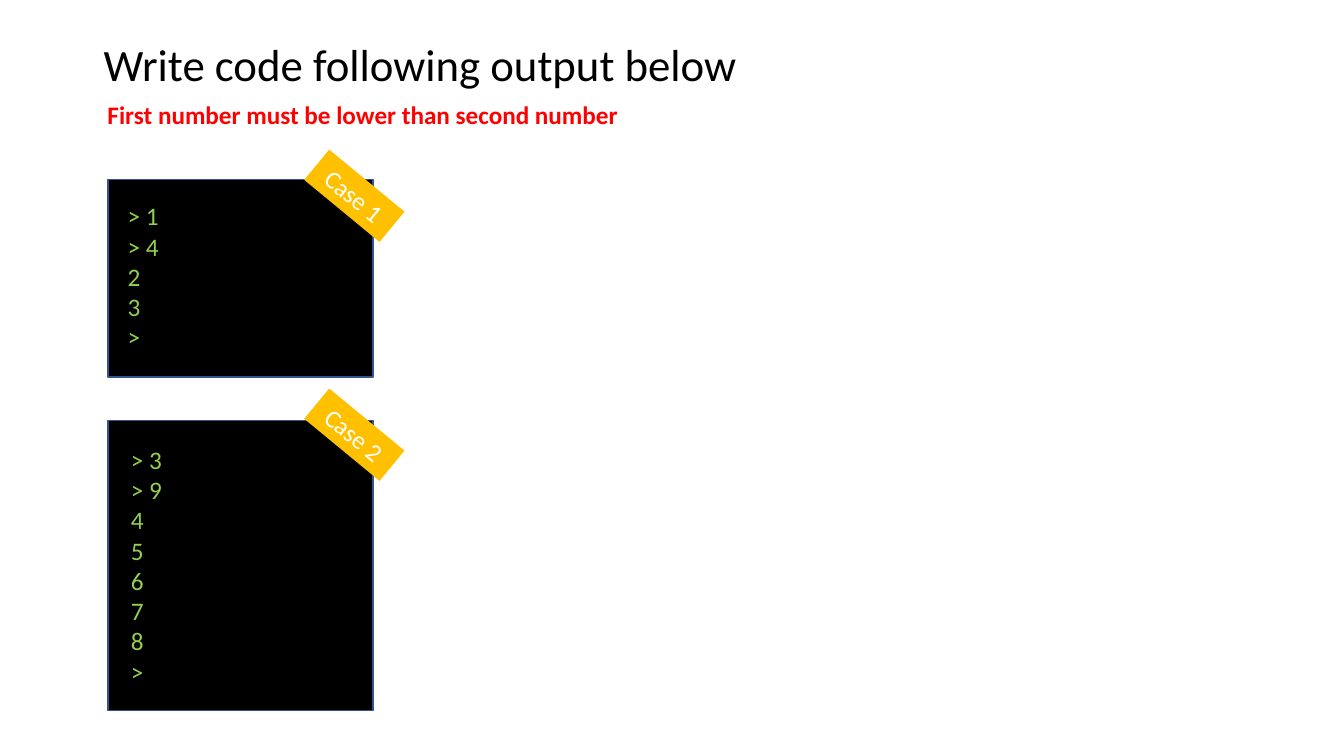
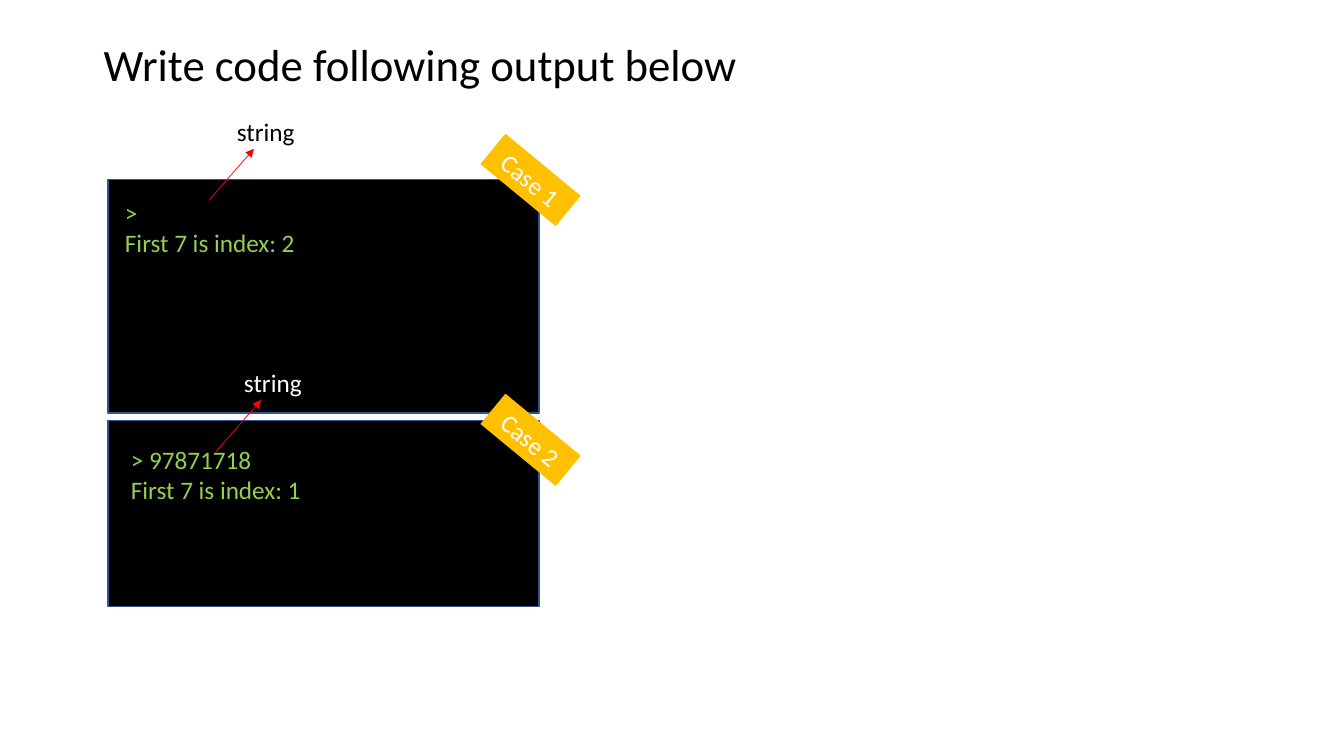
from lxml import etree
from pptx import Presentation
from pptx.dml.color import RGBColor
from pptx.enum.shapes import MSO_CONNECTOR, MSO_SHAPE
from pptx.enum.text import MSO_ANCHOR, MSO_AUTO_SIZE, PP_ALIGN
from pptx.oxml.ns import qn
from pptx.util import Cm, Pt

RECTANGLE = MSO_SHAPE.RECTANGLE
STRAIGHT = MSO_CONNECTOR.STRAIGHT
MIDDLE = MSO_ANCHOR.MIDDLE
FIT_SHAPE = MSO_AUTO_SIZE.SHAPE_TO_FIT_TEXT
CENTER = PP_ALIGN.CENTER

COLORS = {
    "black": "000000",
    "white": "FFFFFF",
    "border": "325491",
    "output": "92D050",
    "tag": "FFC000",
    "red": "FF0000",
}
FONT = "Calibri"
TITLE = "Write code following output below"
PANEL_LEFT = 2.72
PANEL_TOPS = (4.52, 10.59)
LINE_HEIGHT, TEXT_PADDING = 0.77, 0.26
TAG_WIDTH, TAG_HEIGHT, TAG_ANGLE = 2.46, 0.99, 39.5


def rgb(name):
    return RGBColor.from_string(COLORS[name])


def add_line(paragraph, text, color, size=18, bold=False):
    run = paragraph.add_run()
    run.text = text
    run.font.name = FONT
    run.font.size = Pt(size)
    run.font.bold = bold
    run.font.color.rgb = rgb(color)


def add_text(slide, box, lines, color, size=18, bold=False, wrap=False):
    text_box = slide.shapes.add_textbox(*map(Cm, box))
    frame = text_box.text_frame
    frame.word_wrap = wrap
    frame.auto_size = FIT_SHAPE
    for index, line in enumerate(lines):
        paragraph = frame.add_paragraph() if index else frame.paragraphs[0]
        add_line(paragraph, line, color, size, bold)


def add_rectangle(slide, box, fill):
    shape = slide.shapes.add_shape(RECTANGLE, *map(Cm, box))
    shape.shadow.inherit = False
    shape.fill.solid()
    shape.fill.fore_color.rgb = rgb(fill)
    return shape


def add_title(slide):
    add_text(slide, (2.36, 0.81, 16.64, 1.63), [TITLE], "black", size=32)


def add_console(slide, box, lines, text_offset, text_width, wrap=False):
    """Black console panel with its output."""
    left, top = box[:2]
    panel = add_rectangle(slide, box, "black")
    panel.line.color.rgb = rgb("border")
    panel.line.width = Pt(1)
    text_height = LINE_HEIGHT * len(lines) + TEXT_PADDING
    text_area = (left + text_offset[0], top + text_offset[1], text_width, text_height)
    add_text(slide, text_area, lines, "output", wrap=wrap)


def add_case_tag(slide, box, text, offset):
    """Slanted tag, offset from the top right corner of the console box."""
    left, top, width, _ = box
    tag_box = (left + width + offset[0], top + offset[1], TAG_WIDTH, TAG_HEIGHT)
    tag = add_rectangle(slide, tag_box, "tag")
    tag.line.fill.background()
    tag.rotation = TAG_ANGLE
    tag.text_frame.vertical_anchor = MIDDLE
    paragraph = tag.text_frame.paragraphs[0]
    paragraph.alignment = CENTER
    add_line(paragraph, text, "white")


def add_callout(slide, box, offset, text, color):
    """Arrow that starts inside the console box, with a label at its head."""
    left, top = box[0] + offset[0], box[1] + offset[1]
    ends = (left, top, left + 1.14, top - 1.3)
    arrow = slide.shapes.add_connector(STRAIGHT, *map(Cm, ends))
    arrow.line.color.rgb = rgb("red")
    arrow.line.width = Pt(0.5)
    etree.SubElement(arrow.line._get_or_add_ln(), qn("a:tailEnd"), type="triangle")
    etree.SubElement(arrow._element.spPr, qn("a:effectLst"))
    add_text(slide, (left + 0.46, top - 2.24, 1.98, 1.02), [text], color)


def panel_boxes(width, heights):
    return [(PANEL_LEFT, top, width, height) for top, height in zip(PANEL_TOPS, heights)]


def add_tags(slide, boxes, offsets):
    for number, (box, offset) in enumerate(zip(boxes, offsets), start=1):
        add_case_tag(slide, box, f"Case {number}", offset)


def build_range_slide(slide):
    add_title(slide)
    boxes = panel_boxes(6.68, (4.98, 7.32))
    add_console(slide, boxes[0], ["> 1", "> 4", "2", "3", ">"], (0.25, 0.41), 1.3)
    add_console(slide, boxes[1], ["> 3", "> 9", "4", "5", "6", "7", "8", ">"],
                (0.33, 0.48), 1.3)
    add_tags(slide, boxes, [(-1.7, -0.08), (-1.7, -0.13)])
    # Rule under the title
    add_text(slide, (2.46, 2.39, 13.49, 1.02),
             ["First number must be lower than second number"], "red", bold=True)


def build_index_slide(slide):
    add_title(slide)
    boxes = panel_boxes(10.87, (5.89, 4.7))
    add_console(slide, boxes[0], [">", "First 7 is index: 2"], (0.18, 0.33), 9.7, wrap=True)
    add_console(slide, boxes[1], ["> 97871718", "First 7 is index: 1"], (0.33, 0.48), 4.85)
    add_tags(slide, boxes, [(-1.45, -0.48), (-1.45, 0)])
    # Input type labels
    add_callout(slide, boxes[0], (2.54, 0.53), "string", "black")
    add_callout(slide, boxes[1], (2.72, 0.79), "string", "white")


presentation = Presentation()
presentation.slide_width = Cm(33.87)
presentation.slide_height = Cm(19.05)
blank_layout = presentation.slide_layouts[6]
for build in (build_range_slide, build_index_slide):
    build(presentation.slides.add_slide(blank_layout))
presentation.save("out.pptx")
